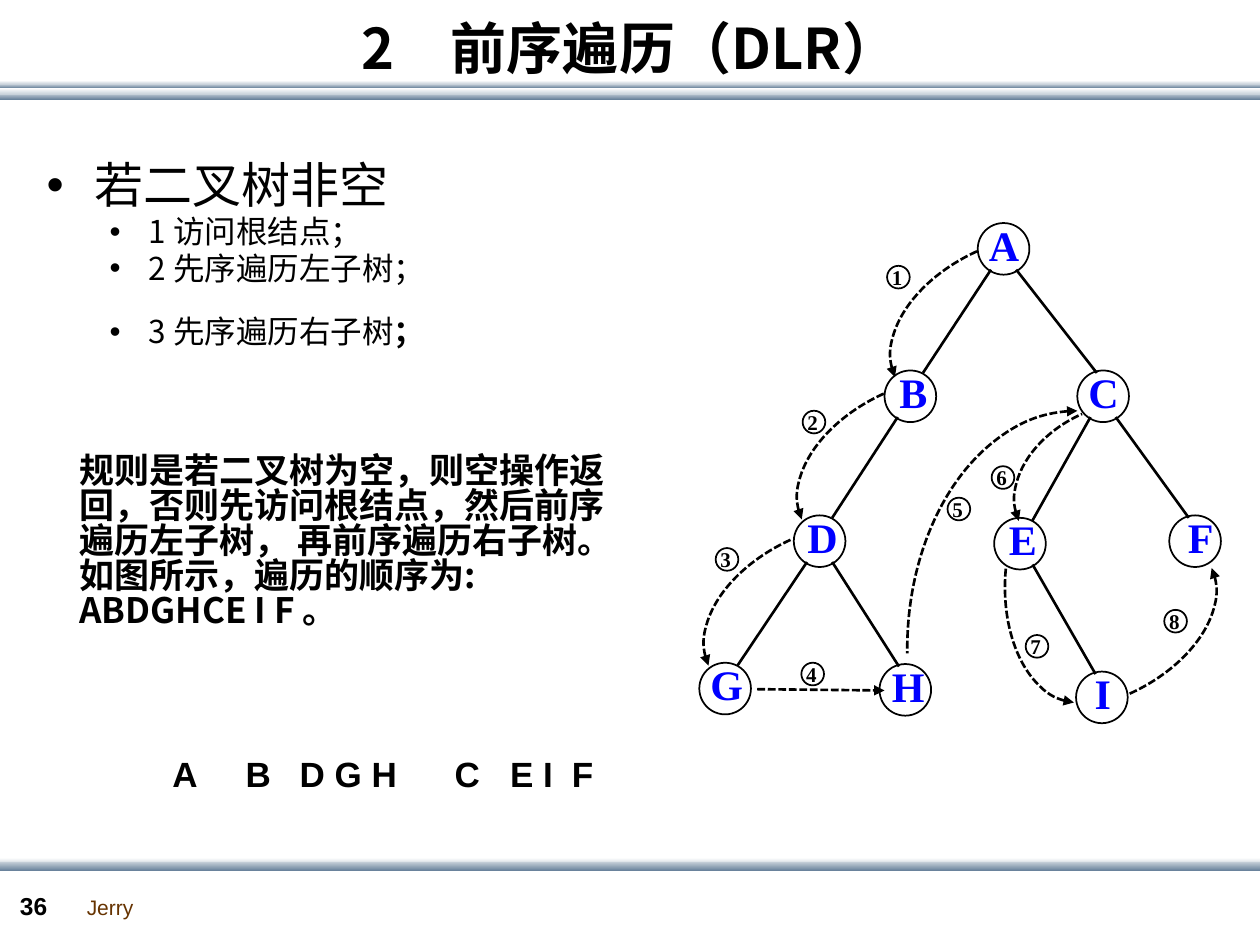
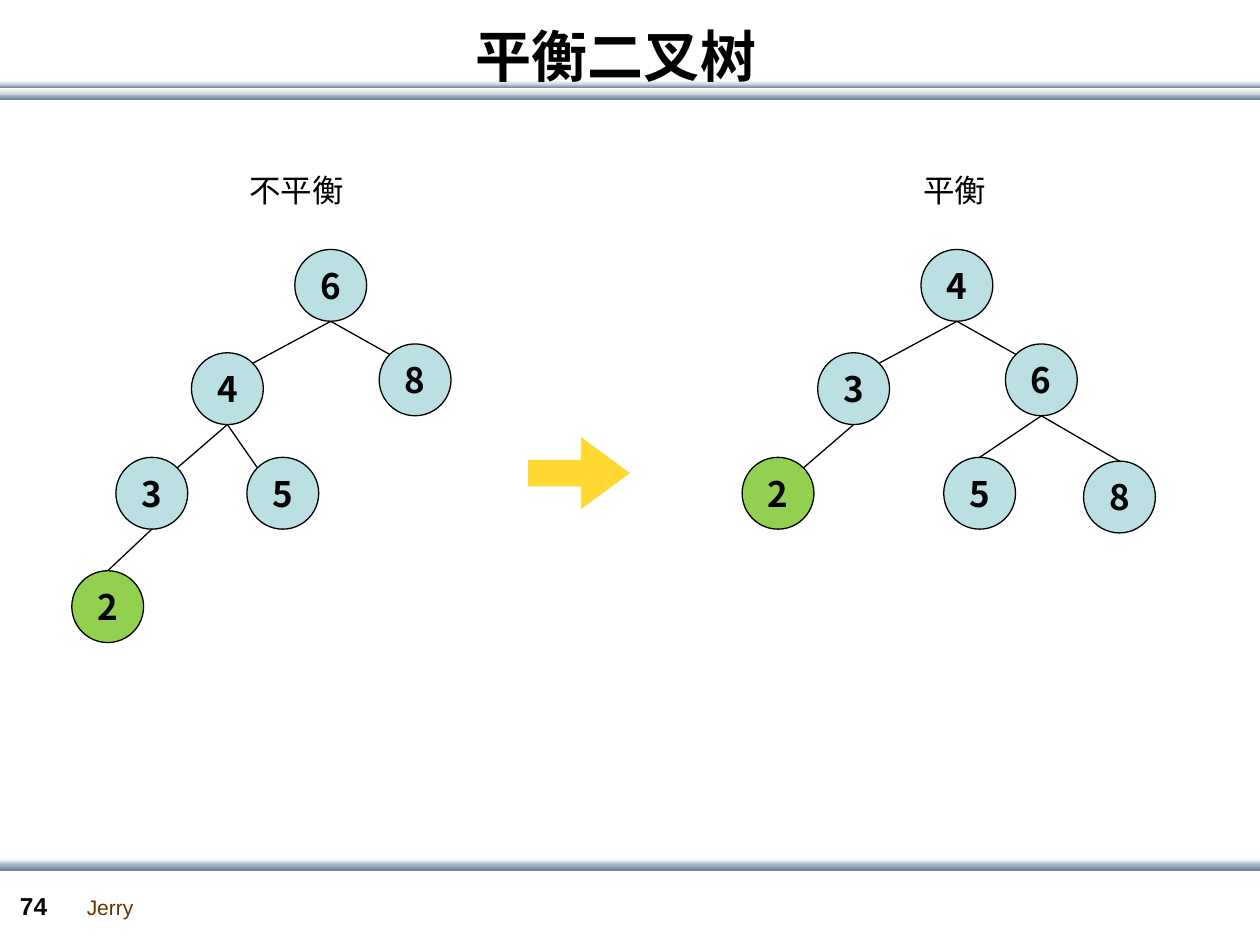
from pptx import Presentation
from pptx.dml.color import RGBColor
from pptx.enum.dml import MSO_LINE
from pptx.enum.shapes import MSO_CONNECTOR, MSO_SHAPE
from pptx.enum.text import MSO_ANCHOR, MSO_AUTO_SIZE, PP_ALIGN
from pptx.oxml.ns import qn
from pptx.oxml.xmlchemy import OxmlElement
from pptx.util import Emu, Inches, Pt

OVAL, ARC, RECT = MSO_SHAPE.OVAL, MSO_SHAPE.ARC, MSO_SHAPE.RECTANGLE
RIGHT_ARROW = MSO_SHAPE.RIGHT_ARROW
STRAIGHT, DASH = MSO_CONNECTOR.STRAIGHT, MSO_LINE.SQUARE_DOT
CENTER, LEFT = PP_ALIGN.CENTER, PP_ALIGN.LEFT

# Every length is in cells of a grid of 100 columns by 75 rows
WIDTH, HEIGHT = Inches(10), Inches(7.5)
CELL = WIDTH / 100

BLACK, WHITE, BLUE, BROWN = "000000", "FFFFFF", "0000FF", "663300"
PALE, STEEL = "C8D1DA", "6A839C"
AQUA, GREEN, YELLOW = "BBE0E3", "92D050", "FFD831"
CJK, SANS, SERIF = "Noto Sans CJK SC", "Arial", "Times New Roman"


def style(name, size, bold=False, color=BLACK):
    return {"name": name, "size": Pt(size), "bold": bold, "color": color}


TITLE = style(CJK, 32, True)
LEAD, ITEM = style(CJK, 28), style(CJK, 18)
RULE, KEY = style(CJK, 20, True), style(SANS, 20, True)
LETTER, STEP = style(SERIF, 24, True, BLUE), style(SERIF, 12, True)
AUTHOR, PAGE = style(SANS, 12, color=BROWN), style(SANS, 14, True)

# Bands: top, height, upper colour, lower colour
BANDS = [(7.4, 0.5, PALE, STEEL), (6.7, 0.3, PALE, STEEL),
         (7, 0.5, WHITE, PALE), (6.4, 0.3, WHITE, PALE),
         (68.1, 0.5, WHITE, PALE), (68.4, 0.7, PALE, STEEL)]

# Letter tree: left, top, shift of the letter, parent
LETTERS = {"A": (22.6, 2.7, -0.1, None), "B": (15.2, 14.4, 0.2, "A"),
           "C": (30.5, 14.4, -0.1, "A"), "D": (8, 25.9, 0.1, "B"),
           "E": (23.9, 26.1, 0.2, "C"), "F": (37.8, 25.9, 0.5, "C"),
           "G": (0.5, 37.6, -0.1, "D"), "H": (14.8, 37.7, 0, "D"),
           "I": (30.4, 38.3, 0.5, "E")}
ARCS = [(18.8, 0.7, 12.9, 20.2, 245.9), (11.4, 12, 12.9, 20.2, 245.9),
        (4, 23.6, 12.9, 20.2, 245.9), (27.5, 15, 11.4, 16.1, 245.9),
        (24.8, 20.6, 12.8, 20.2, 185.5), (25.5, 24.1, 12.9, 20.2, 65.9)]
STEPS = [(15.4, 6.1), (8.7, 17.6), (1.8, 28.5), (8.6, 37.6),
         (20.2, 24.5), (23.7, 22), (26.4, 35.4), (37.4, 33.4)]

# Number trees: left, top, parent, whether the edge ends at the top
UNBALANCED = {"6": (17.7, 0, None, False), "4": (9.5, 8.2, "6", False),
              "3": (3.5, 16.5, "4", False), "8": (24.4, 7.5, "6", False),
              "5": (13.9, 16.5, "4", False), "2": (0, 25.5, "3", True)}
BALANCED = {"4": (17.7, 0, None, False), "3": (9.5, 8.2, "4", False),
            "2": (3.5, 16.5, "3", False), "6": (24.4, 7.5, "4", False),
            "5": (19.5, 16.5, "6", True), "8": (30.6, 16.8, "6", True)}


def rgb(color):
    return RGBColor.from_string(color)


def cells(*values):
    return [Emu(round(v * CELL)) for v in values]


def add_run(p, text, fmt):
    r = p.add_run()
    r.text = text
    for key, value in fmt.items():
        if key == "color":
            r.font.color.rgb = rgb(value)
        else:
            setattr(r.font, key, value)
    ea = OxmlElement("a:ea")
    ea.set("typeface", fmt["name"])
    r.font._element.append(ea)


def add_text(s, box, text, fmt, wrap=True):
    tf = s.shapes.add_textbox(*cells(*box)).text_frame
    tf.word_wrap = wrap
    add_run(tf.paragraphs[0], text, fmt)
    return tf.paragraphs[0]


def add_shape(s, kind, box, fill=None, width=None):
    sp = s.shapes.add_shape(kind, *cells(*box))
    sp.shadow.inherit = False
    if fill:
        sp.fill.solid()
        sp.fill.fore_color.rgb = rgb(fill)
    else:
        sp.fill.background()
    if width:
        sp.line.color.rgb = rgb(BLACK)
        sp.line.width = Pt(width)
    else:
        sp.line.fill.background()
    return sp


def add_line(s, start, end, width):
    line = s.shapes.add_connector(STRAIGHT, *cells(*start, *end))
    line.line.color.rgb = rgb(BLACK)
    line.line.width = Pt(width)
    line._element.spPr.append(OxmlElement("a:effectLst"))
    return line


def dash_with_arrow(sp, end):
    sp.line.dash_style = DASH
    arrow = OxmlElement(end)
    arrow.set("type", "triangle")
    sp._element.spPr.find(qn("a:ln")).append(arrow)


def add_frame(prs, layout, title, title_box, page):
    """Slide with the shared bands, title and footer."""
    s = prs.slides.add_slide(prs.slide_layouts[layout])
    # Bands lie behind the placeholders
    for i, (top, height, upper, lower) in enumerate(BANDS):
        sp = add_shape(s, RECT, (0, top, 100, height))
        sp.fill.gradient()
        sp.fill.gradient_angle = 270
        for stop, color in zip(sp.fill.gradient_stops, (upper, lower)):
            stop.color.rgb = rgb(color)
        s.shapes.element.insert(2 + i, sp._element)
    # Title
    tf = place(s.shapes.title, title_box)
    tf.vertical_anchor = MSO_ANCHOR.MIDDLE
    tf.paragraphs[0].alignment = CENTER
    add_run(tf.paragraphs[0], title, TITLE)
    # Footer
    add_text(s, (5.9, 70.5, 5.8, 3), "Jerry", AUTHOR, wrap=False)
    add_text(s, (0.6, 70.2, 5.5, 3.3), page, PAGE)
    return s


def place(holder, box):
    holder.left, holder.top, holder.width, holder.height = cells(*box)
    holder.text_frame.auto_size = MSO_AUTO_SIZE.NONE
    return holder.text_frame


def add_bullets(s, box):
    tf = place(s.placeholders[1], box)
    # Text, level, space before
    items = [("若二叉树非空", 0, 0), ("1 访问根结点；", 1, 1.3),
             ("2 先序遍历左子树；", 1, 1.3), ("3 先序遍历右子树", 1, 17)]
    for i, (text, level, before) in enumerate(items):
        p = tf.add_paragraph() if i else tf.paragraphs[0]
        p.level = level
        pPr = p._p.get_or_add_pPr()
        margin, indent = [(3.8, -3.8), (8.1, -3.1)][level]
        for key, value in zip(("marL", "indent"), cells(margin, indent)):
            pPr.set(key, str(value))
        bullet = OxmlElement("a:buChar")
        bullet.set("char", "•")
        pPr.append(bullet)
        p.alignment, p.line_spacing, p.space_before = LEFT, 0.9, Pt(before)
        add_run(p, text, ITEM if level else LEAD)
    add_run(p, "；", {**ITEM, "bold": True})


def add_sequence(s, box):
    p = add_text(s, box, "A\tB\tD G H\tC\tE I\tF", KEY)
    tabs = OxmlElement("a:tabLst")
    for pos in cells(5.8, 10.1, 22.4, 26.8, 31.7):
        tab = OxmlElement("a:tab")
        tab.set("pos", str(pos))
        tab.set("algn", "l")
        tabs.append(tab)
    p._p.get_or_add_pPr().append(tabs)


def add_letter_tree(s, x, y):
    size = 4.1
    # Nodes, each with an edge to its parent
    for letter, (left, top, shift, parent) in LETTERS.items():
        add_shape(s, OVAL, (x + left, y + top, size, size), width=1)
        add_text(s, (x + left + shift, y + top - 0.8, 4.7, 5.1), letter, LETTER)
        if parent:
            px, py = LETTERS[parent][:2]
            side = 1 if left > px else -1
            inset = 0.5 if side > 0 else 1
            mid_x, mid_y = x + size / 2, y + size / 2
            add_line(s, (mid_x + px + side, mid_y + py + 1.65),
                     (mid_x + left - side * inset, mid_y + top - 1.85), 1.5)
    # Dashed visiting route
    for left, top, width, height, angle in ARCS:
        add_route_arc(s, (x + left, y + top, width, height), angle)
    sp = add_route_arc(s, (x + 17, y + 17.6, 27, 37.8), 180)
    sp._element.spPr.find(qn("a:xfrm")).set("flipV", "1")
    sp.adjustments[1] = 0.91
    step = add_line(s, (x + 5.1, y + 39.7), (x + 15.2, y + 39.8), 1.5)
    dash_with_arrow(step, "a:tailEnd")
    # Step numbers
    for number, (left, top) in enumerate(STEPS, 1):
        add_shape(s, OVAL, (x + left, y + top, 1.8, 1.8), WHITE, 1)
        add_text(s, (x + left - 0.6, y + top - 0.6, 3.3, 3), str(number), STEP)


def add_route_arc(s, box, angle):
    sp = add_shape(s, ARC, box, width=1.5)
    sp.rotation = angle
    dash_with_arrow(sp, "a:headEnd")
    return sp


def add_number_tree(s, x, y, nodes, caption, caption_left):
    size = 5.7
    add_text(s, (x + caption_left, y - 6.7, 14.9, 4), caption, ITEM)
    for number, (left, top, parent, to_top) in nodes.items():
        fill = GREEN if number == "2" else AQUA
        sp = add_shape(s, OVAL, (x + left, y + top, size, size), fill, 0.75)
        p = sp.text_frame.paragraphs[0]
        p.alignment = CENTER
        add_run(p, number, RULE)
        if parent:
            px, py = nodes[parent][:2]
            # Edges end at the top or at the upper corner facing the parent
            dx, dy = (0, 0) if to_top else (2.02 if px > left else -2.02, 0.83)
            add_line(s, (x + px + size / 2, y + py + size),
                     (x + left + size / 2 + dx, y + top + dy), 0.75)


def preorder_slide(prs):
    s = add_frame(prs, 1, "2　前序遍历（DLR）", (0, -0.1, 100, 7.7), "36")
    add_bullets(s, (2.7, 12.3, 41.7, 18.3))
    p = add_text(s, (5.3, 35.7, 46.3, 17.8),
                 "规则是若二叉树为空，则空操作返回，否则先访问根结点，然后前序遍历左子树，"
                 " 再前序遍历右子树。如图所示，遍历的顺序为: ABDGHCE I F 。", RULE)
    p.line_spacing = 0.83
    add_letter_tree(s, 55, 15)
    add_sequence(s, (12.7, 59.2, 50.2, 4.4))


def balance_slide(prs):
    s = add_frame(prs, 5, "平衡二叉树", (3.9, -1.9, 90, 12.5), "74")
    add_number_tree(s, 5.7, 19.8, UNBALANCED, "不平衡", 13.1)
    add_number_tree(s, 55.4, 19.8, BALANCED, "平衡", 16.9)
    arrow = add_shape(s, RIGHT_ARROW, (41.9, 34.7, 8.1, 5.7), YELLOW)
    arrow.adjustments[0], arrow.adjustments[1] = 0.37, 0.68


def main():
    prs = Presentation()
    prs.slide_width, prs.slide_height = WIDTH, HEIGHT
    preorder_slide(prs)
    balance_slide(prs)
    prs.save("out.pptx")


if __name__ == "__main__":
    main()
